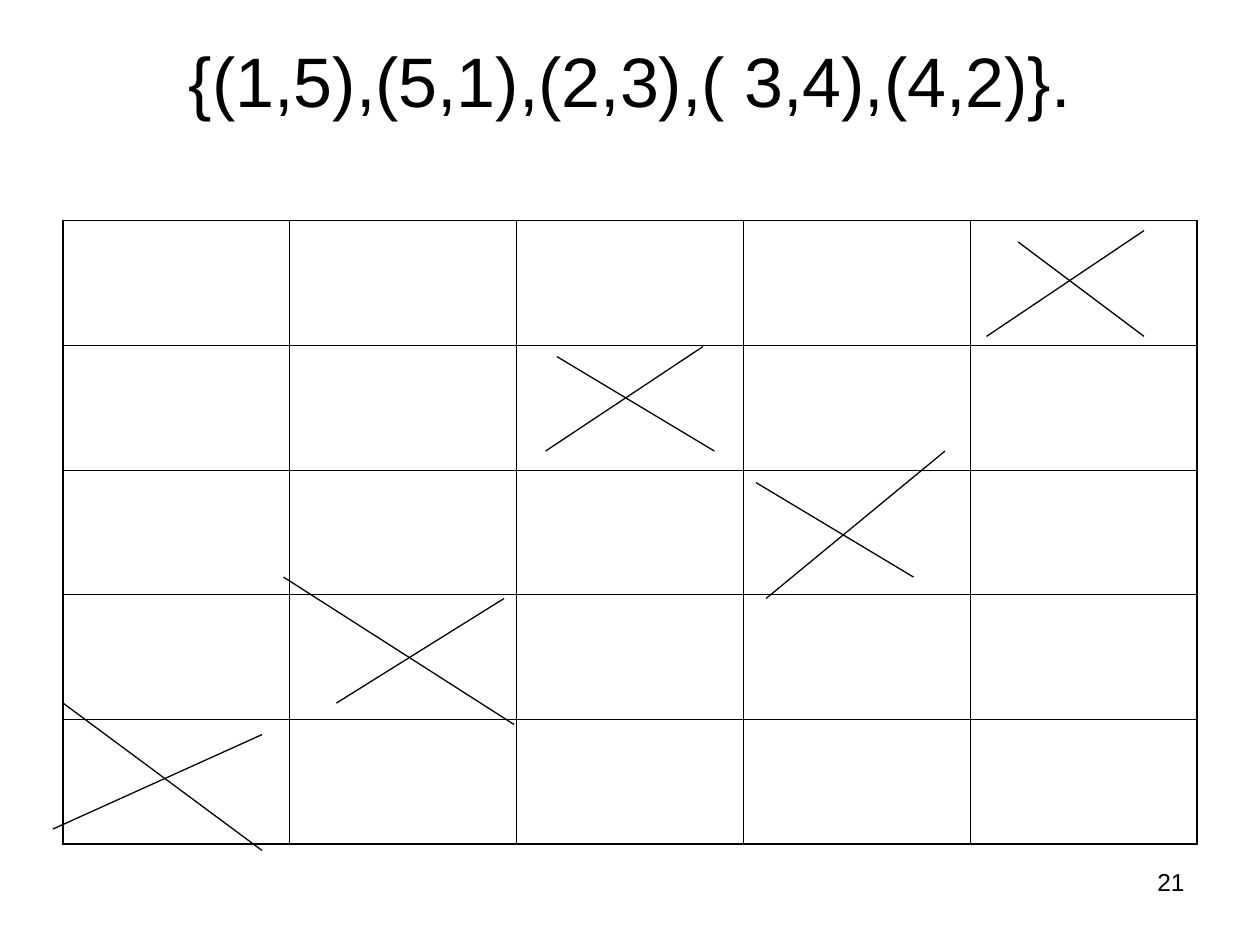
from typing import NamedTuple

from lxml import etree
from pptx import Presentation
from pptx.dml.color import RGBColor
from pptx.enum import shapes, text
from pptx.oxml.ns import qn
from pptx.util import Inches, Pt

BLACK = RGBColor(0, 0, 0)
FONT = "Arial"
SIZE = 5
COL_WIDTH, ROW_HEIGHT = 1.8, 0.99
OUTER_PT, INNER_PT = 1.08, 0.45


class Stroke(NamedTuple):
    x1: float
    y1: float
    x2: float
    y2: float


class Cross(NamedTuple):
    falling: Stroke
    rising: Stroke


CROSSES = [
    Cross(Stroke(8.08, 1.92, 9.08, 2.67), Stroke(9.08, 1.83, 7.83, 2.67)),
    Cross(Stroke(0.5, 5.58, 2.08, 6.75), Stroke(2.08, 5.83, 0.42, 6.58)),
    Cross(Stroke(4.42, 2.83, 5.67, 3.58), Stroke(5.58, 2.75, 4.33, 3.58)),
    Cross(Stroke(6, 3.83, 7.25, 4.58), Stroke(7.5, 3.58, 6.08, 4.75)),
    Cross(Stroke(2.25, 4.58, 4.08, 5.75), Stroke(4, 4.75, 2.67, 5.58)),
]


def set_text(frame, wording: str, size: float, align) -> None:
    frame.text = wording
    frame.word_wrap = True
    paragraph = frame.paragraphs[0]
    paragraph.alignment = align
    font = paragraph.runs[0].font
    font.name, font.size, font.color.rgb = FONT, Pt(size), BLACK


def add_border(cell, side: str, width: float) -> None:
    border = etree.SubElement(cell._tc.get_or_add_tcPr(), qn(f"a:ln{side}"), w=str(Pt(width)))
    fill = etree.SubElement(border, qn("a:solidFill"))
    etree.SubElement(fill, qn("a:srgbClr"), val=str(BLACK))


def draw_stroke(slide, stroke: Stroke) -> None:
    line = slide.shapes.add_connector(
        shapes.MSO_CONNECTOR.STRAIGHT, *(Inches(value) for value in stroke))
    line.line.color.rgb = BLACK
    line.line.width = Pt(0.75)
    etree.SubElement(line._element.spPr, qn("a:effectLst"))


def draw_board(slide) -> None:
    board = slide.shapes.add_table(
        SIZE, SIZE, Inches(0.5), Inches(1.75),
        Inches(SIZE * COL_WIDTH), Inches(SIZE * ROW_HEIGHT)).table
    board.first_row = board.horz_banding = False
    for column in board.columns:
        column.width = Inches(COL_WIDTH)
    last = SIZE - 1
    for r, row in enumerate(board.rows):
        row.height = Inches(ROW_HEIGHT)
        for c, cell in enumerate(row.cells):
            on_edge = {"L": c == 0, "R": c == last, "T": r == 0, "B": r == last}
            for side, outer in on_edge.items():
                add_border(cell, side, OUTER_PT if outer else INNER_PT)
            cell.fill.background()


def main() -> None:
    prs = Presentation()
    prs.slide_width, prs.slide_height = Inches(10), Inches(7.5)
    slide = prs.slides.add_slide(prs.slide_layouts[5])

    # Page number
    page_number = slide.shapes.add_textbox(Inches(7.17), Inches(6.83), Inches(2.33), Inches(0.52))
    set_text(page_number.text_frame, "21", 14, text.PP_ALIGN.RIGHT)

    # Title: the set of marked squares
    title = slide.shapes.title
    title.left, title.top = Inches(0.5), Inches(0.3)
    title.width, title.height = Inches(9), Inches(1.25)
    frame = title.text_frame
    set_text(frame, "{(1,5),(5,1),(2,3),( 3,4),(4,2)}.", 40, text.PP_ALIGN.CENTER)
    frame.auto_size = text.MSO_AUTO_SIZE.NONE
    frame.vertical_anchor = text.MSO_ANCHOR.TOP
    frame.margin_top = 0

    # Board and its crosses
    draw_board(slide)
    for cross in CROSSES:
        for stroke in cross:
            draw_stroke(slide, stroke)

    prs.save("out.pptx")


if __name__ == "__main__":
    main()
